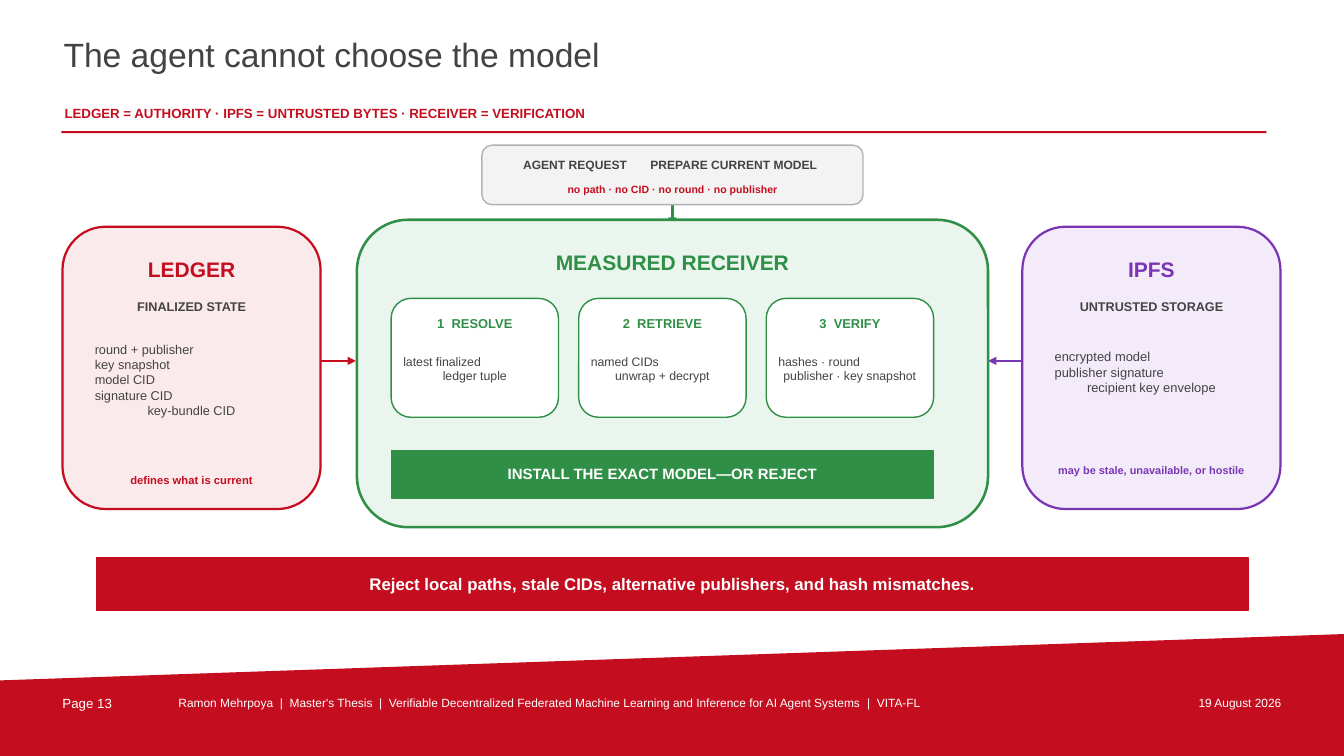
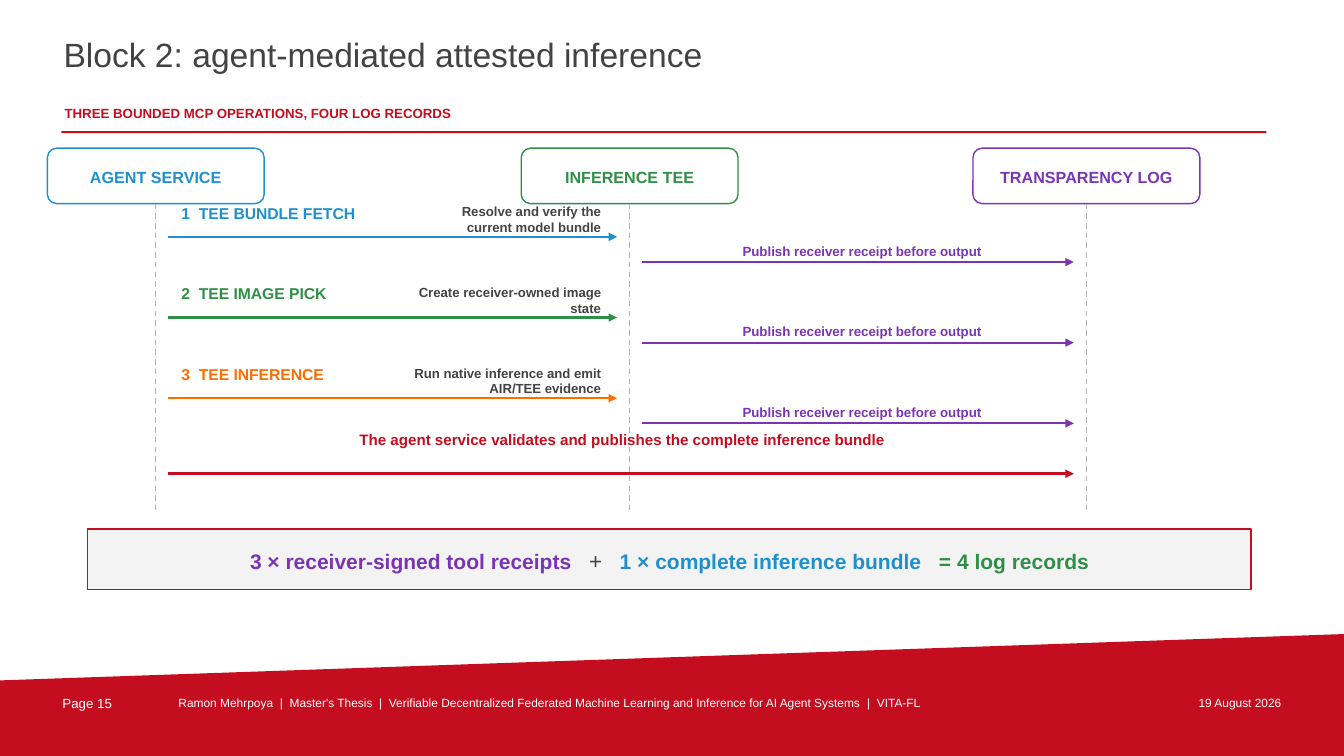
"""Build two thesis slides on model authority and attested inference."""
from dataclasses import dataclass

from pptx import Presentation
from pptx.dml.color import RGBColor
from pptx.enum import dml, shapes, text
from pptx.oxml.ns import qn
from pptx.util import Inches, Pt
from lxml import etree


@dataclass(frozen=True)
class Theme:
    font: str = "Arial"
    red: str = "C40D1E"
    green: str = "2F8F46"
    purple: str = "7A35B5"
    blue: str = "1F90CC"
    orange: str = "FF6C00"
    ink: str = "434343"
    gray: str = "B2B2B2"
    pale_gray: str = "F3F3F3"
    pale_red: str = "FBEAEC"
    pale_green: str = "EAF6ED"
    pale_purple: str = "F3EBF9"
    white: str = "FFFFFF"
    title: float = 24
    heading: float = 15
    plus: float = 16
    banner: float = 12
    actor: float = 11.5
    operation: float = 11.2
    bundle: float = 10.8
    install: float = 10.7
    label: float = 9.5
    detail: float = 9.4
    step: float = 9.2
    subtitle: float = 9
    step_body: float = 8.8
    request: float = 8.6
    footer: float = 8.5
    small: float = 7.5
    space_width: float = 0.278


THEME = Theme()
CELL = Inches(0.01)
COLUMNS, ROWS = 1333, 750
ALIGN = {"left": text.PP_ALIGN.LEFT, "center": text.PP_ALIGN.CENTER, "right": text.PP_ALIGN.RIGHT}
RECTANGLE = shapes.MSO_SHAPE.RECTANGLE
ROUNDED = shapes.MSO_SHAPE.ROUNDED_RECTANGLE

FOOTER = ["Ramon Mehrpoya", "Master's Thesis",
          "Verifiable Decentralized Federated Machine Learning and Inference for AI Agent Systems",
          "VITA-FL"]
DATE = "19 August 2026"

MODEL = {
    "page": 13,
    "title": "The agent cannot choose the model",
    "subtitle": "LEDGER = AUTHORITY · IPFS = UNTRUSTED BYTES · RECEIVER = VERIFICATION",
    "request": [("AGENT REQUEST", 505, 131), ("PREPARE CURRENT MODEL", 627, 202)],
    "limits": "no path · no CID · no round · no publisher",
    "receiver": "MEASURED RECEIVER",
    "steps": [
        ("RESOLVE", ["latest finalized", "ledger tuple"]),
        ("RETRIEVE", ["named CIDs", "unwrap + decrypt"]),
        ("VERIFY", ["hashes · round", "publisher · key snapshot"]),
    ],
    "install": "INSTALL THE EXACT MODEL—OR REJECT",
    "banner": "Reject local paths, stale CIDs, alternative publishers, and hash mismatches.",
    "panels": [
        {"left": 62, "ink": THEME.red, "fill": THEME.pale_red,
         "name": "LEDGER", "state": "FINALIZED STATE",
         "items": ["round + publisher", "key snapshot", "model CID", "signature CID", "key-bundle CID"],
         "items_row": 337, "items_size": 9.1,
         "note": "defines what is current", "note_row": 468, "note_size": 8},
        {"left": 1014, "ink": THEME.purple, "fill": THEME.pale_purple,
         "name": "IPFS", "state": "UNTRUSTED STORAGE",
         "items": ["encrypted model", "publisher signature", "recipient key envelope"],
         "items_row": 344, "items_size": 9.2,
         "note": "may be stale, unavailable, or hostile", "note_row": 458, "note_size": 7.8},
    ],
}

INFERENCE = {
    "page": 15,
    "title": "Block 2: agent-mediated attested inference",
    "subtitle": "THREE BOUNDED MCP OPERATIONS, FOUR LOG RECORDS",
    "actors": [
        ("AGENT SERVICE", 47, 215, THEME.blue),
        ("INFERENCE TEE", 517, 215, THEME.green),
        ("TRANSPARENCY LOG", 965, 225, THEME.purple),
    ],
    "operations": [
        ("TEE BUNDLE FETCH", "Resolve and verify the current model bundle", THEME.blue),
        ("TEE IMAGE PICK", "Create receiver-owned image state", THEME.green),
        ("TEE INFERENCE", "Run native inference and emit AIR/TEE evidence", THEME.orange),
    ],
    "receipt": "Publish receiver receipt before output",
    "bundle": "The agent service validates and publishes the complete inference bundle",
    "sum": [
        ("3 × receiver-signed tool receipts", {"ink": THEME.purple}),
        ("+", {"ink": THEME.ink, "size": THEME.plus, "bold": False}),
        ("1 × complete inference bundle", {"ink": THEME.blue}),
        ("= 4 log records", {"ink": THEME.green}),
    ],
}


def cells(*values):
    return [round(value * CELL) for value in values]


def color(value):
    return RGBColor.from_string(value)


def add_run(paragraph, words, ink, size, bold, extra_spaces=0):
    run = paragraph.add_run()
    run.text = words
    settings = {"name": THEME.font, "size": Pt(size), "bold": bold}
    for name, value in settings.items():
        setattr(run.font, name, value)
    run.font.color.rgb = color(ink)
    if extra_spaces:
        spacing = round(extra_spaces * THEME.space_width * size * 100)
        run.font._element.set("spc", str(spacing))


def add_text(slide, box, paragraphs, size, ink=THEME.ink, bold=False,
             align="left", middle=False, extra_spaces=0):
    """Write strings, or lists of parts set apart by widened spaces, as paragraphs."""
    frame = slide.shapes.add_textbox(*cells(*box)).text_frame
    settings = {"word_wrap": True, "auto_size": text.MSO_AUTO_SIZE.SHAPE_TO_FIT_TEXT,
                "vertical_anchor": text.MSO_ANCHOR.MIDDLE if middle else text.MSO_ANCHOR.TOP}
    settings.update({f"margin_{side}": 2 * CELL for side in ("left", "top", "right", "bottom")})
    for name, value in settings.items():
        setattr(frame, name, value)
    if isinstance(paragraphs, str):
        paragraphs = [paragraphs]
    for index, parts in enumerate(paragraphs):
        paragraph = frame.add_paragraph() if index else frame.paragraphs[0]
        paragraph.alignment = ALIGN[align]
        base = {"ink": ink, "size": size, "bold": bold}
        for position, part in enumerate([parts] if isinstance(parts, str) else parts):
            words, changes = (part, {}) if isinstance(part, str) else part
            if position:
                add_run(paragraph, " ", extra_spaces=extra_spaces, **base)
            add_run(paragraph, words, **{**base, **changes})
    return frame


def add_items(slide, box, items, size):
    frame = add_text(slide, box, items, size)
    frame.paragraphs[-1].alignment = ALIGN["center"]


def paint(shape, fill, line=None, width=1):
    shape.shadow.inherit = False
    shape.fill.solid()
    shape.fill.fore_color.rgb = color(fill)
    if line:
        shape.line.color.rgb = color(line)
        shape.line.width = Pt(width)
    else:
        shape.line.fill.background()
    return shape


def add_box(slide, kind, box, fill, line=None, width=1):
    return paint(slide.shapes.add_shape(kind, *cells(*box)), fill, line, width)


def add_line(slide, start, end, ink, width, arrow=True, source=None, behind=False):
    connector = slide.shapes.add_connector(shapes.MSO_CONNECTOR.STRAIGHT, *cells(*start, *end))
    if source is not None:
        connector.begin_connect(source, 2)
    connector.line.color.rgb = color(ink)
    connector.line.width = Pt(width)
    if arrow:
        etree.SubElement(connector.line._get_or_add_ln(), qn("a:tailEnd"), type="triangle")
    else:
        connector.line.dash_style = dml.MSO_LINE.DASH
    etree.SubElement(connector.element.spPr, qn("a:effectLst"))
    if behind:
        slide.shapes.element.insert(2, connector.element)


def add_band(slide, layout):
    for placeholder in list(layout.placeholders):
        layout.shapes.element.remove(placeholder.element)
    builder = slide.shapes.build_freeform(0, 675, scale=CELL)
    builder.add_line_segments([(COLUMNS, 629), (COLUMNS, ROWS), (0, ROWS)], close=True)
    band = paint(builder.convert_to_shape(), THEME.red)
    layout.shapes.element.append(band.element)


def add_frame(slide, content):
    add_text(slide, (61, 32, 965, 62), content["title"], THEME.title)
    add_text(slide, (62, 102, 970, 22), content["subtitle"], THEME.label, THEME.red, True)
    add_box(slide, RECTANGLE, (61, 130, 1195, 2), THEME.red)
    add_text(slide, (60, 688, 100, 22), f"Page {content['page']}", THEME.label, THEME.white)
    credits = [part for name in FOOTER for part in ("|", name)][1:]
    add_text(slide, (175, 688, 935, 22), [credits], THEME.footer, THEME.white, extra_spaces=1)
    add_text(slide, (1120, 688, 153, 22), DATE, THEME.footer, THEME.white, align="right")


def add_panel(slide, panel):
    left, width, ink = panel["left"], 256, panel["ink"]
    add_box(slide, ROUNDED, (left, 225, width, 280), panel["fill"], ink, 1.6)
    labels = [
        (panel["name"], 252, 30, THEME.heading, ink),
        (panel["state"], 294, 22, THEME.subtitle, THEME.ink),
        (panel["note"], panel["note_row"], 20, panel["note_size"], ink),
    ]
    for words, row, height, size, tone in labels:
        add_text(slide, (left + 22, row, width - 44, height), words, size, tone, True, "center")
    height = 22 * len(panel["items"])
    add_items(slide, (left + 30, panel["items_row"], width - 60, height),
              panel["items"], panel["items_size"])


def build_model(slide, content):
    add_frame(slide, content)
    request = add_box(slide, ROUNDED, (478, 144, 378, 59), THEME.pale_gray, THEME.gray)
    for words, left, width in content["request"]:
        add_text(slide, (left, 154, width, 18), words, THEME.request, bold=True, align="center")
    add_text(slide, (508, 180, 318, 16), content["limits"], THEME.small, THEME.red, True, "center")
    add_line(slide, (667, 203), (667, 224), THEME.green, 1.8, source=request, behind=True)
    for start, end, ink in [(318, 353, THEME.red), (1014, 980, THEME.purple)]:
        add_line(slide, (start, 358), (end, 358), ink, 1.8, behind=True)
    add_box(slide, ROUNDED, (354, 218, 626, 305), THEME.pale_green, THEME.green, 1.8)
    add_text(slide, (472, 246, 390, 31), content["receiver"], THEME.heading, THEME.green, True, "center")
    for panel in content["panels"]:
        add_panel(slide, panel)

    first, width, gap = 388, 166, 20
    for index, (name, items) in enumerate(content["steps"]):
        left = first + index * (width + gap)
        add_box(slide, ROUNDED, (left, 296, width, 118), THEME.white, THEME.green)
        add_text(slide, (left + 10, 311, width - 20, 20), [[str(index + 1), name]],
                 THEME.step, THEME.green, True, "center", extra_spaces=1)
        add_items(slide, (left + 10, 349, width - 20, 40), items, THEME.step_body)

    span = 3 * width + 2 * gap
    add_box(slide, RECTANGLE, (first, 447, span, 47), THEME.green, THEME.green)
    add_text(slide, (first + 28, 459, span - 56, 20), content["install"],
             THEME.install, THEME.white, True, "center")
    add_box(slide, RECTANGLE, (96, 553, 1142, 53), THEME.red, THEME.red)
    add_text(slide, (124, 567, 1086, 24), content["banner"],
             THEME.banner, THEME.white, True, "center", middle=True)


def build_inference(slide, content):
    add_frame(slide, content)
    lanes = []
    for name, left, width, ink in content["actors"]:
        box = add_box(slide, ROUNDED, (left, 147, width, 55), THEME.white, ink)
        add_text(slide, (left + 6, 164, width - 12, 22), name, THEME.actor, ink, True, "center")
        lanes.append(left + width / 2)
        add_line(slide, (lanes[-1], 202), (lanes[-1], 506), THEME.gray, 1, arrow=False, source=box)

    agent, tee, log = lanes
    clear = 12.5
    for index, (name, detail, ink) in enumerate(content["operations"]):
        row = 235 + 80 * index
        add_line(slide, (agent + clear, row), (tee - clear, row), ink, 1.7)
        add_text(slide, (178, row - 35, 225, 24), [[str(index + 1), name]],
                 THEME.operation, ink, True, extra_spaces=1)
        add_text(slide, (408, row - 35, 190, 28), detail, THEME.detail, bold=True, align="right")
        add_line(slide, (tee + clear, row + 25), (log - clear, row + 25), THEME.purple, 1.6)
        add_text(slide, (706, row + 4, 298, 20), content["receipt"],
                 THEME.label, THEME.purple, True, "center")

    add_line(slide, (agent + clear, 470), (log - clear, 470), THEME.red, 1.9)
    add_text(slide, (305, 425, 624, 38), content["bundle"], THEME.bundle, THEME.red, True, "center")
    add_box(slide, RECTANGLE, (87, 525, 1154, 60), THEME.pale_gray, THEME.red)
    add_text(slide, (108, 543, 1112, 27), [content["sum"]], THEME.heading,
             bold=True, align="center", middle=True, extra_spaces=2)


def main():
    presentation = Presentation()
    presentation.slide_width, presentation.slide_height = cells(COLUMNS, ROWS)
    layout = presentation.slide_layouts[6]
    model, inference = [presentation.slides.add_slide(layout) for _ in range(2)]
    add_band(model, layout)
    build_model(model, MODEL)
    build_inference(inference, INFERENCE)
    presentation.save("out.pptx")


if __name__ == "__main__":
    main()
